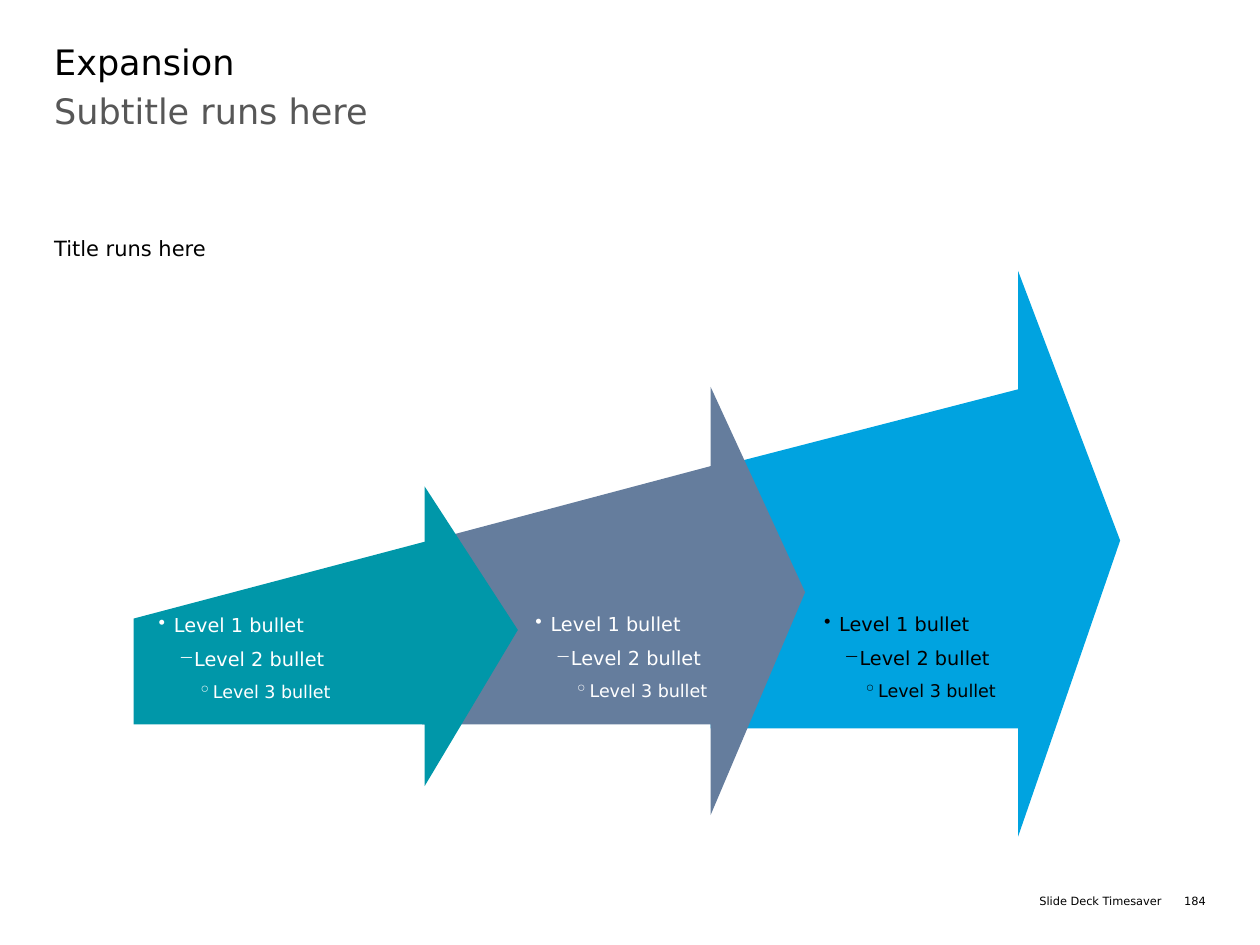
from lxml import etree
from pptx import Presentation
from pptx.dml.color import RGBColor
from pptx.enum.text import MSO_ANCHOR, MSO_AUTO_SIZE, PP_ALIGN
from pptx.oxml.ns import qn
from pptx.util import Inches, Pt

TOP, BOTTOM = MSO_ANCHOR.TOP, MSO_ANCHOR.BOTTOM
LEFT, RIGHT = PP_ALIGN.LEFT, PP_ALIGN.RIGHT
NO_FIT = MSO_AUTO_SIZE.NONE

FONT = "DejaVu Sans"
COLORS = {
    "black": "000000",
    "white": "FFFFFF",
    "gray": "575757",
    "teal": "0097A9",
    "slate": "657D9D",
    "blue": "00A3E0",
}

BULLETS = [
    ("Level 1 bullet", "•", 0.12, 11),
    ("Level 2 bullet", "−", 0.28, 11),
    ("Level 3 bullet", "◦", 0.43, 10),
]
HANGING = 0.12

ARROWS = [
    {
        "points": [(5.64, 5.78), (5.64, 3.72), (8.08, 3.09), (8.08, 2.15),
                   (8.89, 4.29), (8.08, 6.64), (8.08, 5.78)],
        "fill": "blue", "color": "black", "insets": (0.9, 0.1, 0.6, 1.08),
    },
    {
        "points": [(3.35, 5.75), (3.38, 4.3), (5.64, 3.7), (5.64, 3.07),
                   (6.39, 4.7), (5.64, 6.47), (5.64, 5.75)],
        "fill": "slate", "color": "white", "insets": (0.9, 0.1, 0.5, 0.91),
    },
    {
        "points": [(1.06, 5.75), (1.06, 4.91), (3.37, 4.3), (3.37, 3.86),
                   (4.11, 5), (3.37, 6.24), (3.37, 5.75)],
        "fill": "teal", "color": "white", "insets": (0.2, 0.1, 0.04, 0.67),
    },
]


def rgb(name):
    return RGBColor.from_string(COLORS[name])


def set_attrs(obj, values):
    for name, value in values.items():
        setattr(obj, name, value)


def format_frame(tf, anchor=TOP, insets=(0, 0, 0, 0)):
    left, top, right, bottom = map(Inches, insets)
    set_attrs(tf, {
        "auto_size": NO_FIT, "word_wrap": True, "vertical_anchor": anchor,
        "margin_left": left, "margin_top": top,
        "margin_right": right, "margin_bottom": bottom,
    })


def write_run(p, text, size, color):
    r = p.add_run()
    r.text = text
    set_attrs(r.font, {"name": FONT, "size": Pt(size)})
    r.font.color.rgb = rgb(color)


def set_bullet(p, indent=0, hanging=0, char=None):
    pPr = p._p.get_or_add_pPr()
    pPr.set("marL", str(Inches(indent)))
    pPr.set("indent", str(-Inches(hanging)))
    if char:
        etree.SubElement(pPr, qn("a:buChar")).set("char", char)
    else:
        etree.SubElement(pPr, qn("a:buNone"))


def fill_text(sp, box, text, size, color, align=LEFT, after=0):
    set_attrs(sp, dict(zip(("left", "top", "width", "height"), map(Inches, box))))
    tf = sp.text_frame
    format_frame(tf)
    p = tf.paragraphs[0]
    set_bullet(p)
    set_attrs(p, {"alignment": align, "space_before": Pt(0), "space_after": Pt(after)})
    write_run(p, text, size, color)


def add_label(s, box, *args, **kwargs):
    fill_text(s.shapes.add_textbox(*map(Inches, box)), box, *args, **kwargs)


def add_bullets(tf, color):
    for level, (text, char, indent, size) in enumerate(BULLETS):
        p = tf.add_paragraph() if level else tf.paragraphs[0]
        set_bullet(p, indent, HANGING, char)
        set_attrs(p, {"level": level, "alignment": LEFT,
                      "space_before": Pt(6 if level else 0)})
        write_run(p, text, size, color)


def add_arrow(s, points, fill, color, insets):
    start, *rest = [(Inches(x), Inches(y)) for x, y in points]
    builder = s.shapes.build_freeform(*start)
    builder.add_line_segments(rest, close=True)
    sp = builder.convert_to_shape()
    sp.shadow.inherit = False
    sp.fill.solid()
    sp.fill.fore_color.rgb = rgb(fill)
    sp.line.fill.background()
    format_frame(sp.text_frame, BOTTOM, insets)
    add_bullets(sp.text_frame, color)


def main():
    prs = Presentation()
    set_attrs(prs, {"slide_width": Inches(10), "slide_height": Inches(7.5)})
    s = prs.slides.add_slide(prs.slide_layouts[1])

    fill_text(s.shapes.title, (0.43, 0.32, 9.13, 0.51), "Expansion", 20, "black")
    fill_text(s.placeholders[1], (0.43, 0.71, 9.13, 0.83),
              "Subtitle runs here", 20, "gray", after=10)
    for arrow in ARROWS:
        add_arrow(s, **arrow)
    add_label(s, (0.43, 1.87, 9.13, 0.2), "Title runs here", 12, "black")
    add_label(s, (5.2, 7.1, 4.02, 0.11), "Slide Deck Timesaver", 6.5, "black", align=RIGHT)
    add_label(s, (9.19, 7.1, 0.38, 0.36), "184", 6.5, "black", align=RIGHT)

    prs.save("out.pptx")


if __name__ == "__main__":
    main()
